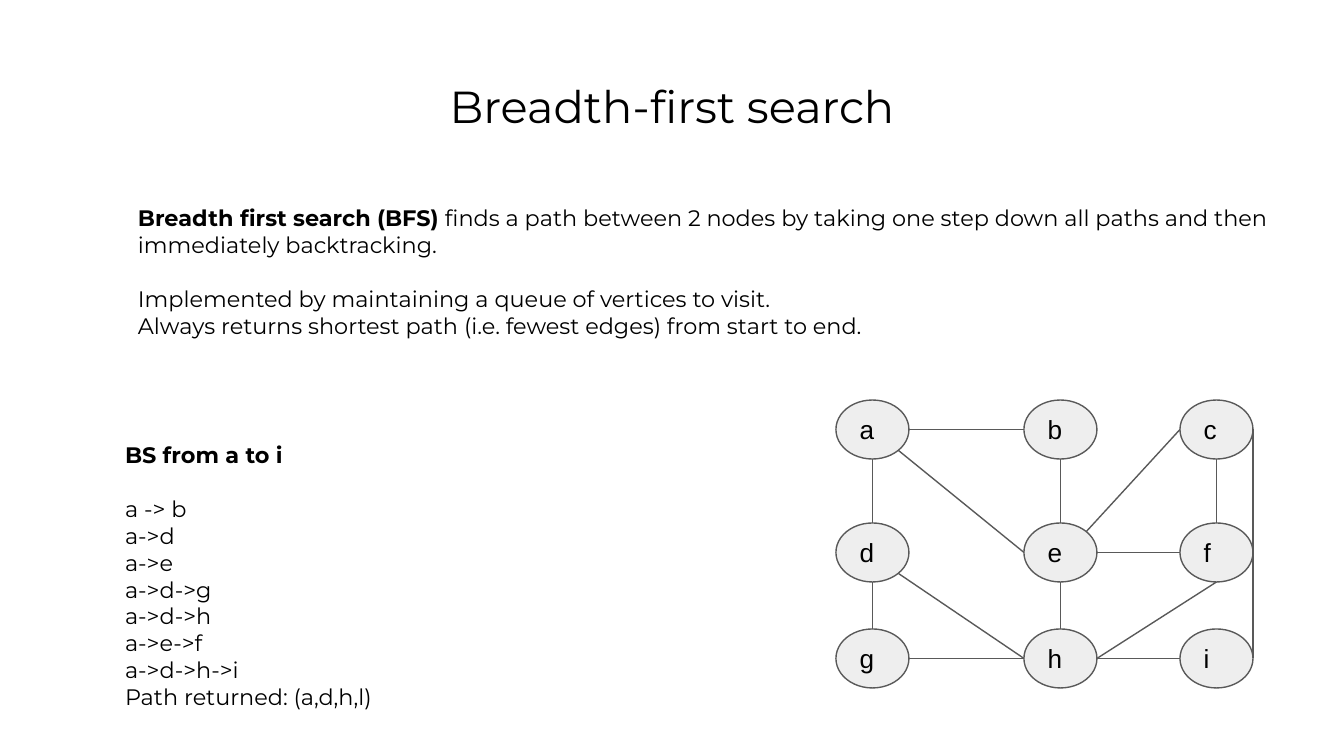
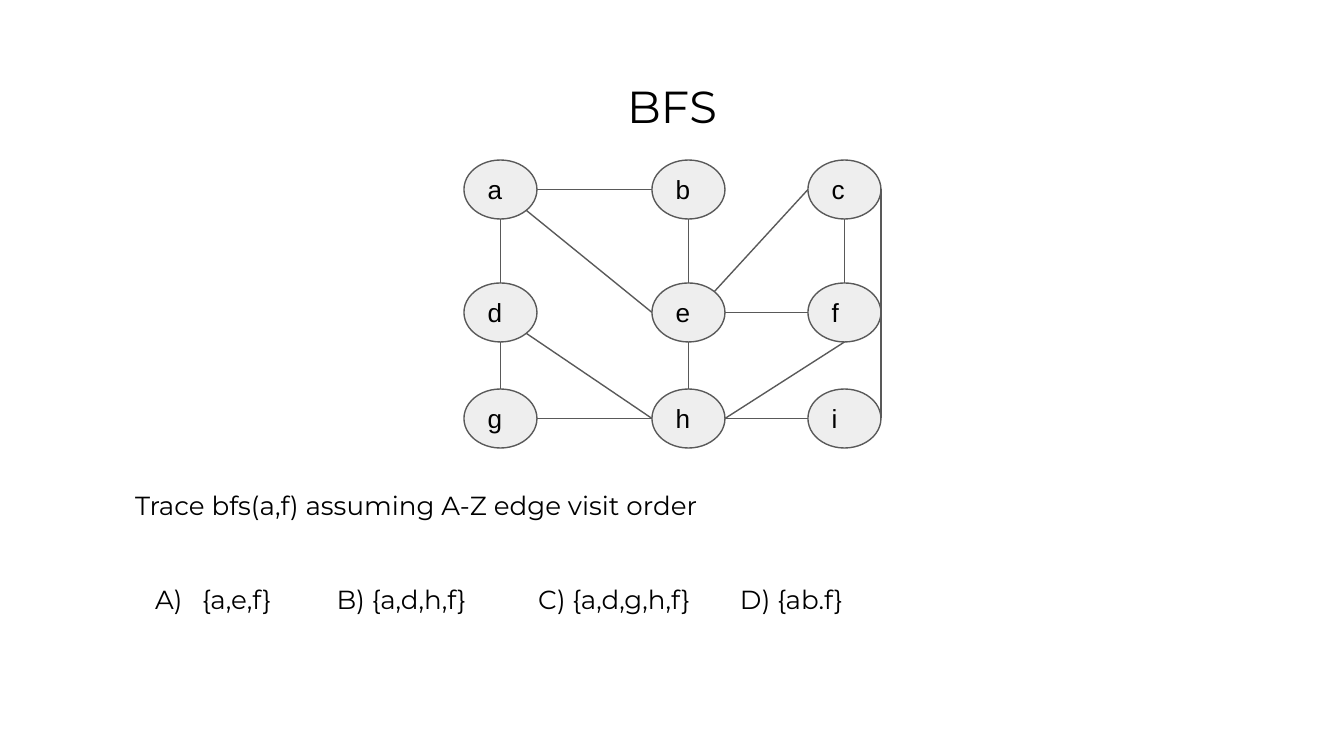
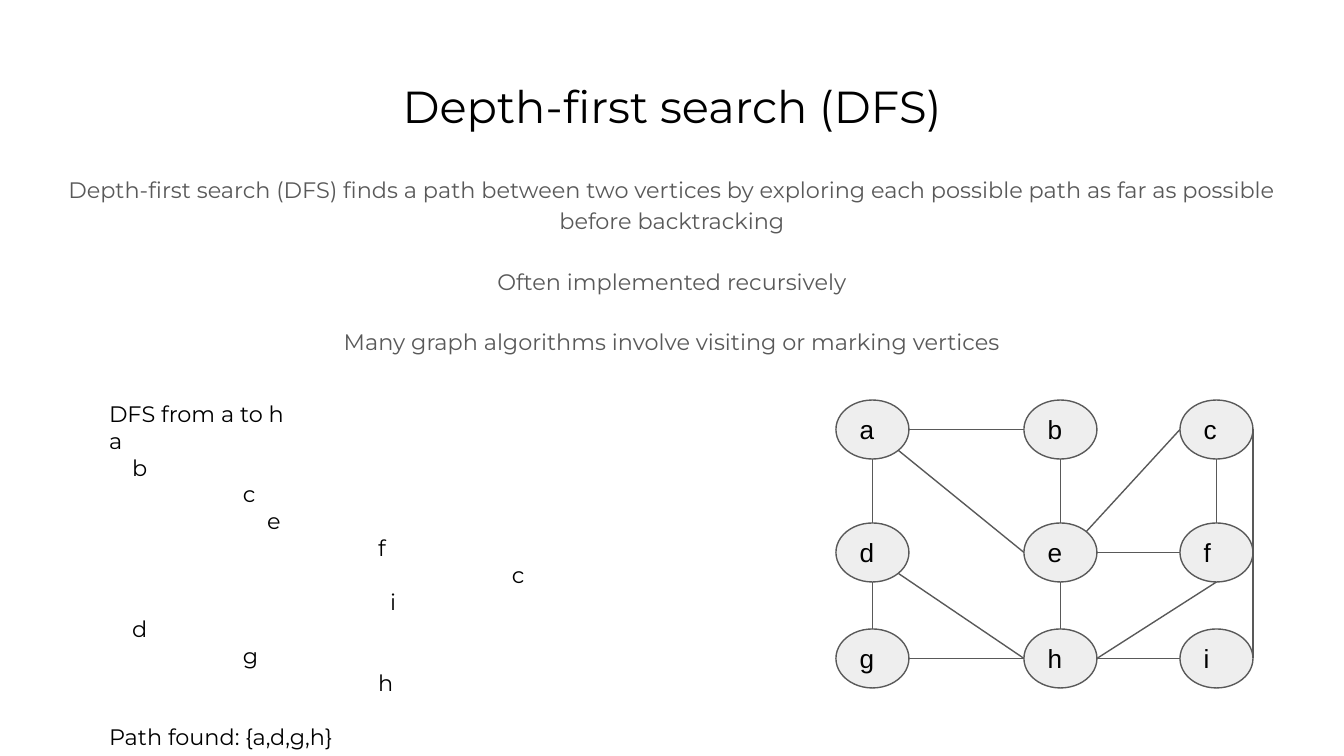
from dataclasses import dataclass, field

from pptx import Presentation
from pptx.dml.color import RGBColor
from pptx.enum.shapes import MSO_CONNECTOR, MSO_SHAPE
from pptx.enum.text import MSO_ANCHOR, PP_ALIGN
from pptx.oxml.ns import qn
from pptx.util import Inches, Pt
from lxml import etree

OVAL = MSO_SHAPE.OVAL
STRAIGHT = MSO_CONNECTOR.STRAIGHT
TOP, MIDDLE = MSO_ANCHOR.TOP, MSO_ANCHOR.MIDDLE
LEFT, CENTER = PP_ALIGN.LEFT, PP_ALIGN.CENTER

SLIDE_WIDTH, SLIDE_HEIGHT = 1344, 756
EMU_PER_PX = Inches(10) / SLIDE_WIDTH
BLANK_LAYOUT = 6


@dataclass(frozen=True)
class Theme:
    ink: RGBColor = RGBColor(0, 0, 0)
    gray: RGBColor = RGBColor(0x59, 0x59, 0x59)
    node_fill: RGBColor = RGBColor(0xEE, 0xEE, 0xEE)
    text_font: str = "Montserrat"
    node_font: str = "Arial"
    title_size: int = 24
    body_size: int = 12
    large_size: int = 14
    line_width: float = 0.75
    inset: int = 13


THEME = Theme()
LINE_GAP = Pt(14.6)  # height of one line of body text


@dataclass
class Line:
    """One paragraph: a bold lead, plain text, an indent in px and formats."""
    text: str = ""
    lead: str = ""
    indent: int = 0
    hanging: int = 0
    numbering: str = ""
    formats: dict = field(default_factory=dict)


NODE_WIDTH, NODE_HEIGHT = 73, 59
COLUMNS = (0, 188, 344)
ROWS = (0, 123, 229)
NODES = {
    name: (COLUMNS[index % 3], ROWS[index // 3])
    for index, name in enumerate("abcdefghi")
}
# Unit vectors from the centre of a node to its rim
DIAGONAL = 0.71
RIM = {
    "north": (0, -1), "south": (0, 1), "west": (-1, 0), "east": (1, 0),
    "northeast": (DIAGONAL, -DIAGONAL), "southeast": (DIAGONAL, DIAGONAL),
}
EDGES = (
    [(*pair, "east", "west") for pair in ("ab", "ef", "gh", "hi")]
    + [(*pair, "south", "north") for pair in ("ad", "dg", "be", "eh", "cf")]
    + [(*pair, "southeast", "west") for pair in ("ae", "dh")]
    + [
        ("e", "c", "northeast", "west"),
        ("f", "h", "south", "east"),
        ("c", "i", "east", "east"),
    ]
)


def px(length):
    return round(length * EMU_PER_PX)


def set_values(target, values):
    for name, value in values.items():
        setattr(target, name, value)


def prepare_frame(shape, anchor):
    frame = shape.text_frame
    margins = {f"margin_{side}": px(THEME.inset)
               for side in ("left", "top", "right", "bottom")}
    set_values(frame, {"word_wrap": True, "vertical_anchor": anchor, **margins})
    return frame


def add_run(paragraph, text, size, font, color, bold=False):
    run = paragraph.add_run()
    run.text = text
    set_values(run.font, {"size": Pt(size), "name": font, "bold": bold})
    run.font.color.rgb = color


def indent_paragraph(paragraph, line):
    properties = paragraph._p.get_or_add_pPr()
    properties.set("marL", str(px(line.indent)))
    properties.set("indent", str(-px(line.hanging)))
    if line.numbering:
        etree.SubElement(properties, qn("a:buAutoNum"), type=line.numbering)


def add_text(slide, box, lines, size=THEME.body_size, color=THEME.ink):
    shape = slide.shapes.add_textbox(*map(px, box))
    frame = prepare_frame(shape, TOP)
    for index, line in enumerate(lines):
        paragraph = frame.add_paragraph() if index else frame.paragraphs[0]
        set_values(paragraph, line.formats)
        if line.indent:
            indent_paragraph(paragraph, line)
        for text, bold in ((line.lead, True), (line.text, False)):
            if text:
                add_run(paragraph, text, size, THEME.text_font, color, bold)


def add_titled_slide(presentation, title):
    slide = presentation.slides.add_slide(presentation.slide_layouts[BLANK_LAYOUT])
    add_text(slide, (46, 66, 1252, 85),
             [Line(title, formats={"alignment": CENTER})], THEME.title_size)
    return slide


def add_node(slide, name, left, top):
    node = slide.shapes.add_shape(
        OVAL, *map(px, (left, top, NODE_WIDTH, NODE_HEIGHT)))
    node.shadow.inherit = False
    node.fill.solid()
    node.fill.fore_color.rgb = THEME.node_fill
    style_line(node.line)
    paragraph = prepare_frame(node, MIDDLE).paragraphs[0]
    paragraph.alignment = LEFT
    add_run(paragraph, name, THEME.large_size, THEME.node_font, THEME.ink)


def style_line(line):
    line.color.rgb = THEME.gray
    line.width = Pt(THEME.line_width)


def rim_point(name, side, left, top):
    """Point in EMU where an edge meets the given side of a node."""
    x, y = NODES[name]
    across, down = RIM[side]
    return (px(left + x + (1 + across) * NODE_WIDTH / 2),
            px(top + y + (1 + down) * NODE_HEIGHT / 2))


def add_graph(slide, left, top):
    for name, (x, y) in NODES.items():
        add_node(slide, name, left + x, top + y)
    for start, end, start_side, end_side in EDGES:
        edge = slide.shapes.add_connector(
            STRAIGHT,
            *rim_point(start, start_side, left, top),
            *rim_point(end, end_side, left, top))
        style_line(edge.line)
        etree.SubElement(edge._element.spPr, qn("a:effectLst"))


def add_breadth_first_slide(presentation):
    slide = add_titled_slide(presentation, "Breadth-first search")
    add_text(slide, (125, 191, 1195, 198), [
        Line(" finds a path between 2 nodes by taking one step down all paths "
             "and then immediately backtracking.", lead="Breadth first search (BFS)"),
        Line("Implemented by maintaining a queue of vertices to visit.",
             formats={"space_before": LINE_GAP}),
        Line("Always returns shortest path (i.e. fewest edges) from start to end."),
    ])
    add_graph(slide, 836, 400)
    steps = ("a->d", "a->e", "a->d->g", "a->d->h", "a->e->f", "a->d->h->i",
             "Path returned: (a,d,h,l)")
    add_text(slide, (112, 428, 620, 218), [
        Line(lead="BS from a to i"),
        Line("a -> b", formats={"space_before": LINE_GAP}),
        *map(Line, steps),
    ])


def add_question_slide(presentation):
    slide = add_titled_slide(presentation, "BFS")
    add_graph(slide, 464, 160)
    add_text(slide, (122, 476, 1085, 237), [
        Line("Trace bfs(a,f) assuming A-Z edge visit order"),
        Line("{a,e,f}\tB) {a,d,h,f} \tC) {a,d,g,h,f}\tD) {ab.f}",
             indent=67, hanging=47, numbering="alphaUcParenR",
             formats={"space_before": Pt(34)}),
    ], THEME.large_size)


def add_depth_first_slide(presentation):
    slide = add_titled_slide(presentation, "Depth-first search (DFS)")
    centered = {"alignment": CENTER, "line_spacing": 1.15}
    spaced = {**centered, "space_before": Pt(16)}
    add_text(slide, (46, 159, 1252, 208), [
        Line("Depth-first search (DFS) finds a path between two vertices by exploring "
             "each possible path as far as possible before backtracking",
             formats=centered),
        Line("Often implemented recursively", formats=spaced),
        Line("Many graph algorithms involve visiting or marking vertices",
             formats=spaced),
    ], color=THEME.gray)
    add_graph(slide, 836, 400)
    visits = (("a", 0), ("b", 23), ("c", 134), ("e", 158), ("f", 269), ("c", 403),
              ("i", 281), ("d", 23), ("g", 134), ("h", 269))
    add_text(slide, (96, 387, 626, 320), [
        Line("DFS from a to h"),
        *(Line(name, indent=indent) for name, indent in visits),
        Line("Path found: {a,d,g,h}", formats={"space_before": LINE_GAP}),
    ])


def main():
    presentation = Presentation()
    set_values(presentation, {"slide_width": px(SLIDE_WIDTH),
                              "slide_height": px(SLIDE_HEIGHT)})
    add_breadth_first_slide(presentation)
    add_question_slide(presentation)
    add_depth_first_slide(presentation)
    presentation.save("out.pptx")


if __name__ == "__main__":
    main()
